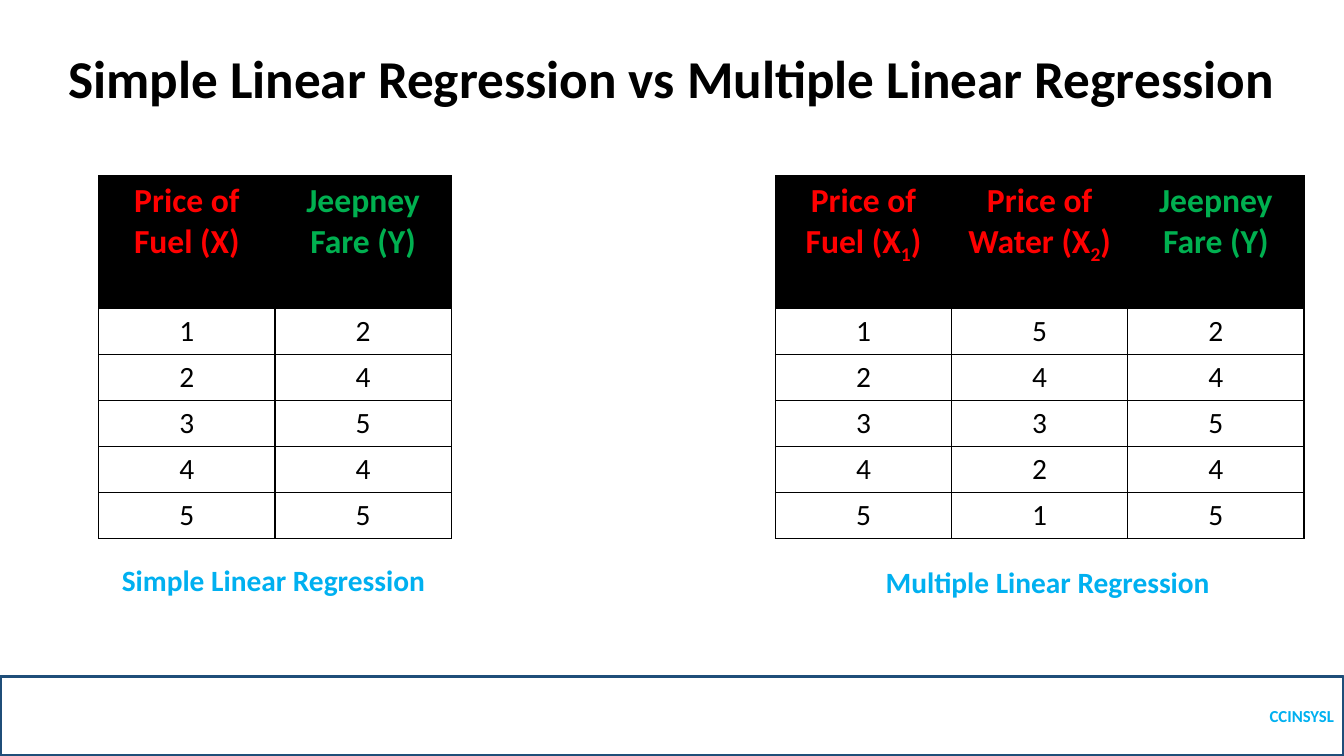
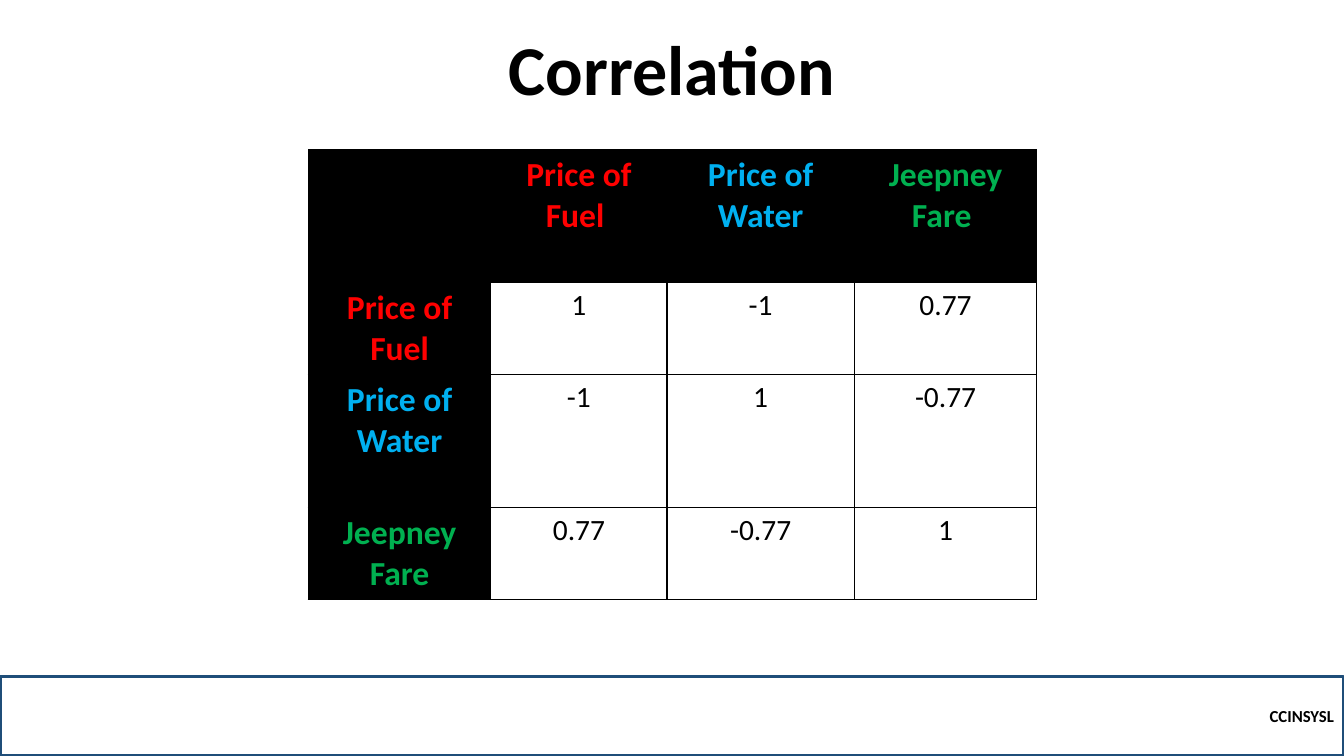
from dataclasses import dataclass

from lxml import etree
from pptx import Presentation
from pptx.dml.color import RGBColor
from pptx.enum.shapes import MSO_SHAPE
from pptx.enum.text import MSO_ANCHOR, MSO_AUTO_SIZE, PP_ALIGN
from pptx.oxml.ns import qn
from pptx.slide import Slide
from pptx.table import _Cell
from pptx.util import Cm, Pt

BLACK = RGBColor(0x00, 0x00, 0x00)
NAVY = RGBColor(0x1F, 0x4E, 0x79)
RED = RGBColor(0xFF, 0x00, 0x00)
GREEN = RGBColor(0x00, 0xB0, 0x50)
BLUE = RGBColor(0x00, 0xB0, 0xF0)

RECTANGLE = MSO_SHAPE.RECTANGLE
MIDDLE, BOTTOM = MSO_ANCHOR.MIDDLE, MSO_ANCHOR.BOTTOM
FIT_SHAPE = MSO_AUTO_SIZE.SHAPE_TO_FIT_TEXT
CENTER, RIGHT = PP_ALIGN.CENTER, PP_ALIGN.RIGHT

FONT = "Calibri"
SLIDE_W, SLIDE_H = 33.87, 19.05
FOOTER_H = 2.0
HEADER_H, DATA_H, LABEL_H = 3.35, 1.16, 2.32
COL_W = 4.44


@dataclass(frozen=True)
class Label:
    text: str
    color: RGBColor = BLACK
    subscript: str = ""
    tail: str = ""


@dataclass(frozen=True)
class Grid:
    left: float
    top: float
    col_widths: list[float]
    row_heights: list[float]
    rows: list[list[Label | str]]


@dataclass(frozen=True)
class Caption:
    text: str
    left: float
    top: float
    width: float


SIMPLE = Grid(
    2.49, 4.42, [COL_W] * 2, [HEADER_H] + [DATA_H] * 5,
    [
        [Label("Price of Fuel (X)", RED), Label("Jeepney Fare (Y)", GREEN)],
        ["1", "2"],
        ["2", "4"],
        ["3", "5"],
        ["4", "4"],
        ["5", "5"],
    ],
)
MULTIPLE = Grid(
    19.54, 4.42, [COL_W] * 3, [HEADER_H] + [DATA_H] * 5,
    [
        [
            Label("Price of Fuel (X", RED, "1", ")"),
            Label("Price of Water (X", RED, "2", ")"),
            Label("Jeepney Fare (Y)", GREEN),
        ],
        ["1", "5", "2"],
        ["2", "4", "4"],
        ["3", "3", "5"],
        ["4", "2", "4"],
        ["5", "1", "5"],
    ],
)
FUEL = Label("Price of Fuel", RED)
WATER = Label("Price of Water", BLUE)
FARE = Label("Jeepney Fare", GREEN)
CORRELATION = Grid(
    7.77, 3.77, [4.6, COL_W, 4.72, 4.6],
    [HEADER_H, LABEL_H, HEADER_H, LABEL_H],
    [
        [Label(""), Label("Price of Fuel ", RED), WATER, Label("Jeepney Fare ", GREEN)],
        [FUEL, "1", "-1", "0.77"],
        [WATER, "-1", "1", "-0.77"],
        [FARE, "0.77", "-0.77", "1"],
    ],
)
CAPTIONS = [
    Caption("Simple Linear Regression", 2.82, 14.05, 8.23),
    Caption("Multiple Linear Regression", 22.07, 14.1, 8.76),
]


def style(p, size: float, color: RGBColor, bold: bool = True) -> None:
    p.font.name = FONT
    p.font.size = Pt(size)
    p.font.bold = bold
    p.font.color.rgb = color


def set_borders(cell: _Cell, widths: dict[str, float]) -> None:
    """Put black lines of the given point widths on the sides L, R, T and B."""
    tc_pr = cell._tc.get_or_add_tcPr()
    for i, (side, width) in enumerate(widths.items()):
        ln = etree.Element(qn(f"a:ln{side}"), w=str(Pt(width)))
        fill = etree.SubElement(ln, qn("a:solidFill"))
        etree.SubElement(fill, qn("a:srgbClr"), val=str(BLACK))
        tc_pr.insert(i, ln)


def fill_cell(cell: _Cell, content: Label | str) -> None:
    p = cell.text_frame.paragraphs[0]
    p.alignment = CENTER
    if isinstance(content, str):
        p.text = content
        style(p, 21, BLACK, bold=False)
        cell.fill.background()
        return
    p.text = content.text
    if content.subscript:
        r = p.add_run()
        r.text = content.subscript
        r._r.get_or_add_rPr().set("baseline", "-25000")
        p.add_run().text = content.tail
    style(p, 24, content.color)
    cell.fill.solid()
    cell.fill.fore_color.rgb = BLACK


def add_grid(s: Slide, grid: Grid) -> None:
    n_rows, n_cols = len(grid.rows), len(grid.col_widths)
    table = s.shapes.add_table(
        n_rows, n_cols, Cm(grid.left), Cm(grid.top),
        Cm(sum(grid.col_widths)), Cm(sum(grid.row_heights)),
    ).table
    table.first_row = table.horz_banding = False
    for column, width in zip(table.columns, grid.col_widths):
        column.width = Cm(width)
    for row, height in zip(table.rows, grid.row_heights):
        row.height = Cm(height)
    for i, row in enumerate(grid.rows):
        for j, content in enumerate(row):
            cell = table.cell(i, j)
            fill_cell(cell, content)
            header = i == 0
            set_borders(cell, {
                "L": 0.5 if header and j == 0 else 1,
                "R": 0.5 if header and j == n_cols - 1 else 1,
                "T": 0.5 if header else 1,
                "B": 1,
            })


def add_caption(s: Slide, caption: Caption) -> None:
    sp = s.shapes.add_textbox(
        Cm(caption.left), Cm(caption.top), Cm(caption.width), Cm(1.15))
    tf = sp.text_frame
    tf.word_wrap = False
    tf.auto_size = FIT_SHAPE
    p = tf.paragraphs[0]
    p.text = caption.text
    style(p, 21, BLUE)


def add_footer(s: Slide, color: RGBColor) -> None:
    sp = s.shapes.add_shape(
        RECTANGLE, Cm(0), Cm(SLIDE_H - FOOTER_H), Cm(SLIDE_W), Cm(FOOTER_H))
    sp.shadow.inherit = False
    sp.fill.background()
    sp.line.color.rgb = NAVY
    sp.line.width = Pt(2.25)
    tf = sp.text_frame
    tf.vertical_anchor = MIDDLE
    p = tf.paragraphs[0]
    p.text = "CCINSYSL"
    p.alignment = RIGHT
    style(p, 12, color)


def add_title(s: Slide, text: str, size: float) -> None:
    sp = s.shapes.add_textbox(Cm(1.27), Cm(0.91), Cm(31.32), Cm(2))
    tf = sp.text_frame
    tf.word_wrap = True
    tf.vertical_anchor = BOTTOM
    p = tf.paragraphs[0]
    p.text = text
    p.alignment = CENTER
    p.line_spacing = 0.9
    style(p, size, BLACK)


def add_slide(prs, title: str, title_size: float, footer_color: RGBColor,
              grids: list[Grid]) -> Slide:
    s = prs.slides.add_slide(prs.slide_layouts[6])
    add_footer(s, footer_color)
    add_title(s, title, title_size)
    for grid in grids:
        add_grid(s, grid)
    return s


def main() -> None:
    prs = Presentation()
    prs.slide_width, prs.slide_height = Cm(SLIDE_W), Cm(SLIDE_H)
    s = add_slide(prs, "Simple Linear Regression vs Multiple Linear Regression",
                  38, BLUE, [SIMPLE, MULTIPLE])
    for caption in CAPTIONS:
        add_caption(s, caption)
    add_slide(prs, "Correlation", 50, BLACK, [CORRELATION])
    prs.save("out.pptx")


if __name__ == "__main__":
    main()
